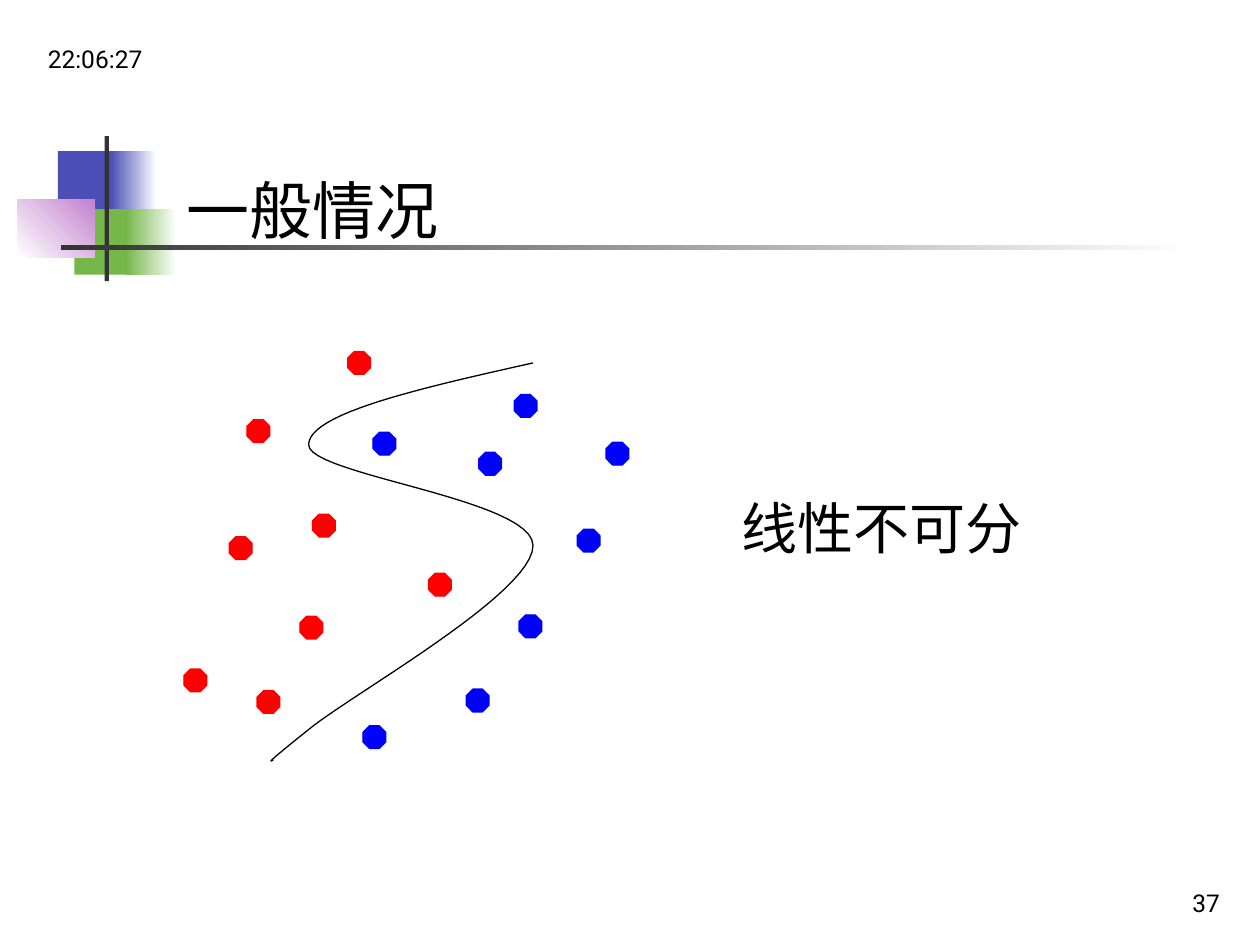
from pptx import Presentation
from pptx.dml.color import RGBColor
from pptx.enum.shapes import MSO_SHAPE
from pptx.enum.text import MSO_ANCHOR, MSO_AUTO_SIZE, PP_ALIGN
from pptx.oxml.ns import qn
from pptx.util import Pt

RECT, OCTAGON = MSO_SHAPE.RECTANGLE, MSO_SHAPE.OCTAGON
TOP, MIDDLE, BOTTOM = MSO_ANCHOR.TOP, MSO_ANCHOR.MIDDLE, MSO_ANCHOR.BOTTOM
LEFT, RIGHT = PP_ALIGN.LEFT, PP_ALIGN.RIGHT
NO_FIT = MSO_AUTO_SIZE.NONE

THEME = {
    "text": "000000", "white": "FFFFFF", "bar": "333333",
    "indigo": "4B4EB5", "green": "76B749", "mauve": "C481CF",
    "red": "FF0000", "blue": "0000FF",
    "font": "Roboto", "cjk": "Noto Sans CJK JP",
    "title": 36, "body": 32, "small": 14,
}

TITLE = ("一般情况", (99.4, 94.3, 516.2, 50.4), "title", "font", MIDDLE, LEFT)
LABELS = [
    ("线性不可分", (416.9, 278.6, 187.2, 68.4), "body", "cjk", TOP, LEFT),
    ("22:06:27", (20.2, 9.4, 149.8, 36), "small", "font", BOTTOM, LEFT),
    ("37", (554.4, 491.8, 149.8, 36), "small", "font", BOTTOM, RIGHT),
]
ORNAMENT = [
    ((33.1, 86.4, 34.6, 37.4), ["indigo"], 0),
    ((63.4, 86.4, 25.9, 37.4), ["indigo", "white"], 0),
    ((42.5, 119.5, 33.1, 37.4), ["green"], 0),
    ((72, 119.5, 28.8, 37.4), ["green", "white"], 0),
    ((10.1, 113.8, 43.9, 33.1), ["white", "mauve"], 45),
    ((59.8, 77.8, 2.5, 82.8), ["bar"], 0),
    ((34.6, 140.2, 648, 2.5), ["bar", "white"], 0),
]
DOT = 13
DOTS = {
    "red": [(178.6, 293.8), (198.7, 200.9), (141.1, 239.8), (131, 306.7),
            (244.8, 327.6), (146.9, 394.6), (171.4, 352.1), (105.1, 382.3)],
    "blue": [(346.3, 252.7), (213.1, 247), (296.6, 351.4), (293.8, 225.4),
             (207.4, 414.7), (273.6, 258.5), (266.4, 393.8), (329.8, 302.4)],
}
BOUNDARY = [
    (304.6, 207.4),
    (240.5, 221.8), (176.4, 236.2), (176.4, 254.2),
    (176.4, 271.4), (304.6, 285.1), (304.6, 311.8),
    (304.6, 339.1), (200.9, 396.7), (176.4, 416.9),
    (151.2, 437), (154.1, 435.6), (156.2, 434.2),
]
STEPS = 24


def color(key):
    return RGBColor.from_string(THEME[key])


def paint(sp, keys, angle=0):
    sp.shadow.inherit = False
    if len(keys) == 1:
        sp.fill.solid()
        sp.fill.fore_color.rgb = color(keys[0])
    else:
        sp.fill.gradient()
        sp.fill.gradient_angle = angle
        for stop, key in zip(sp.fill.gradient_stops, keys):
            stop.color.rgb = color(key)


def outline(sp, key):
    sp.line.color.rgb = color(key)
    sp.line.width = Pt(0.75)


def write(sp, text, box, size, font, anchor, align):
    sp.left, sp.top, sp.width, sp.height = map(Pt, box)
    tf = sp.text_frame
    for name, value in {"word_wrap": True, "auto_size": NO_FIT,
                        "vertical_anchor": anchor}.items():
        setattr(tf, name, value)
    p = tf.paragraphs[0]
    p.alignment = align
    p.space_before = Pt(0)
    r = p.add_run()
    r.text = text
    r.font.name = THEME[font]
    r.font.size = Pt(THEME[size])
    r.font.color.rgb = color("text")
    ea = r.font._element.makeelement(qn("a:ea"), {"typeface": THEME["cjk"]})
    r.font._element.find(qn("a:latin")).addnext(ea)


def bezier(a, b, c, d, t):
    u = 1 - t
    return tuple(Pt(u**3 * i + 3 * u * u * t * j + 3 * u * t * t * k + t**3 * m)
                 for i, j, k, m in zip(a, b, c, d))


prs = Presentation()
prs.slide_width, prs.slide_height = Pt(720), Pt(540)
s = prs.slides.add_slide(prs.slide_layouts[5])

for box, keys, angle in ORNAMENT:
    sp = s.shapes.add_shape(RECT, *map(Pt, box))
    paint(sp, keys, angle)
    sp.line.fill.background()

curve = [bezier(*BOUNDARY[i:i + 4], n / STEPS)
         for i in range(0, len(BOUNDARY) - 1, 3) for n in range(1, STEPS + 1)]
builder = s.shapes.build_freeform(*map(Pt, BOUNDARY[0]))
builder.add_line_segments(curve, close=False)
sp = builder.convert_to_shape()
sp.shadow.inherit = False
sp.fill.background()
outline(sp, "text")

for key, places in DOTS.items():
    for x, y in places:
        sp = s.shapes.add_shape(OCTAGON, Pt(x), Pt(y), Pt(DOT), Pt(DOT))
        sp.adjustments[0] = 0.29
        paint(sp, [key])
        outline(sp, key)

write(s.shapes.title, *TITLE)
for label in LABELS:
    write(s.shapes.add_textbox(0, 0, 0, 0), *label)

prs.save("out.pptx")
